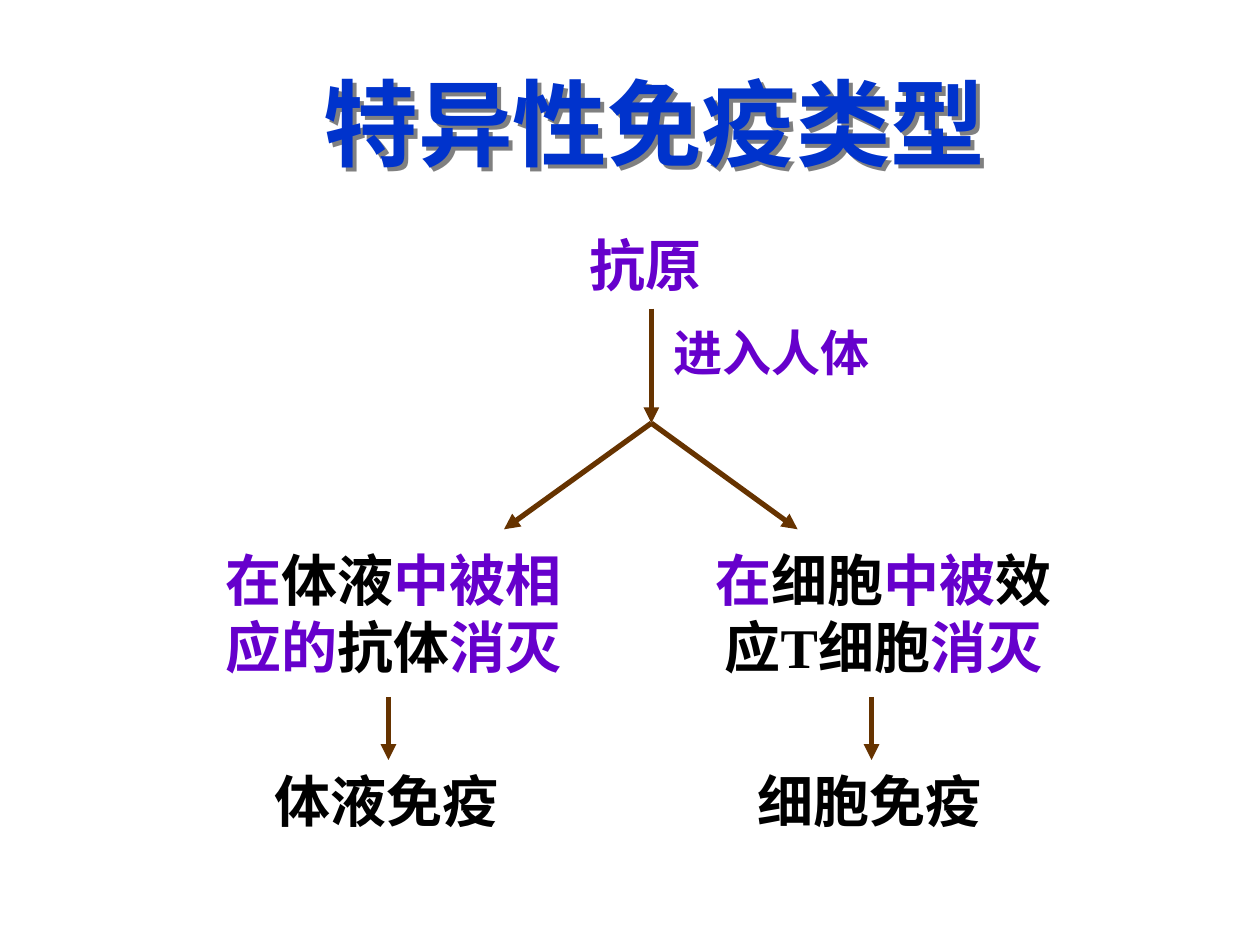
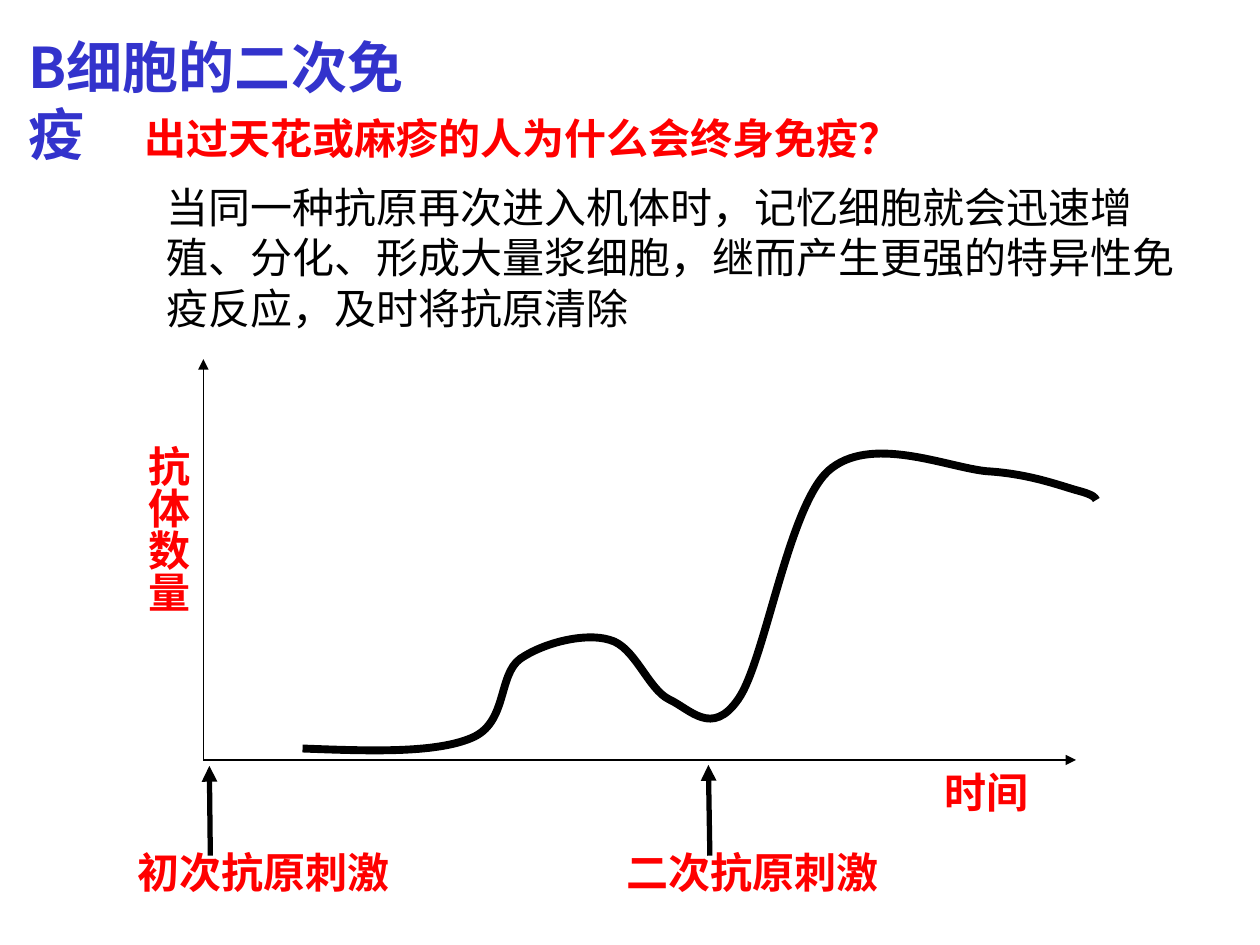
import pptx
import pptx.dml.color
import pptx.enum.shapes
import pptx.enum.text
import pptx.oxml.ns
import pptx.util
from lxml import etree

Cm, Pt = pptx.util.Cm, pptx.util.Pt
ALIGN = pptx.enum.text.PP_ALIGN
ANCHOR = pptx.enum.text.MSO_ANCHOR
qn = pptx.oxml.ns.qn

# Shared look
SANS, SERIF, BODY = "Noto Sans CJK SC", "Times New Roman", "Arial"
PURPLE, BROWN, BLACK, RED = "6600CC", "663300", "000000", "FF0000"
TITLE_BLUE, HEADING_BLUE = "0033CC", "3333CC"
COLUMN_STEP = 9.74


def rgb(value):
    return pptx.dml.color.RGBColor.from_string(value)


def format_run(r, size, color, font, bold):
    r.font.size, r.font.bold, r.font.name = Pt(size), bold, font
    r.font.color.rgb = rgb(color)
    ea = etree.SubElement(r.font._element, qn("a:ea"))
    ea.set("typeface", SANS)


def fill_text(sp, parts, size, font=SANS, bold=True, align=ALIGN.LEFT,
              anchor=ANCHOR.TOP):
    """Write (text, colour) parts as the single paragraph of a shape."""
    tf = sp.text_frame
    tf.word_wrap = True
    tf.auto_size = pptx.enum.text.MSO_AUTO_SIZE.NONE
    tf.vertical_anchor = anchor
    tf.margin_left = tf.margin_right = Cm(0.25)
    tf.margin_top = tf.margin_bottom = Cm(0.13)
    p = tf.paragraphs[0]
    p.alignment = align
    p.space_before = Pt(0)
    p.line_spacing = Pt(round(size * 1.2, 1))
    p._p.get_or_add_pPr().set("hangingPunct", "0")
    for text, color in parts:
        r = p.add_run()
        r.text = text
        format_run(r, size, color, font, bold)


def place(sp, box):
    sp.left, sp.top, sp.width, sp.height = (Cm(v) for v in box)


def add_title(slide, box, text, size, color, **style):
    sp = slide.shapes.title
    place(sp, box)
    fill_text(sp, [(text, color)], size, **style)
    return sp


def add_text(slide, box, parts, size, **style):
    sp = slide.shapes.add_textbox(*(Cm(v) for v in box))
    fill_text(sp, parts, size, **style)
    return sp


def add_arrow(slide, start, end, color, width):
    line = slide.shapes.add_connector(
        pptx.enum.shapes.MSO_CONNECTOR.STRAIGHT,
        *(Cm(v) for v in (*start, *end)))
    line.line.color.rgb = rgb(color)
    line.line.width = Pt(width)
    tail = etree.SubElement(line.line._get_or_add_ln(), qn("a:tailEnd"))
    tail.set("type", "triangle")
    etree.SubElement(line._element.spPr, qn("a:effectLst"))
    return line


def add_curve(slide, points, color, width):
    """Draw a Bezier curve: a start, then three points for each segment."""
    points = [(Cm(x), Cm(y)) for x, y in points]
    builder = slide.shapes.build_freeform(*points[0])
    builder.add_line_segments(points[1:], close=False)
    sp = builder.convert_to_shape()
    sp.shadow.inherit = False
    sp.fill.background()
    sp.line.color.rgb = rgb(color)
    sp.line.width = Pt(width)
    # Join each three straight segments into one cubic segment
    segments = list(sp._element.iter(qn("a:lnTo")))
    for i in range(0, len(segments), 3):
        cubic = etree.Element(qn("a:cubicBezTo"))
        segments[i].addprevious(cubic)
        for segment in segments[i:i + 3]:
            cubic.append(segment[0])
            segment.getparent().remove(segment)


def add_text_shadow(sp):
    """An unfilled shape casts the shadow of its text."""
    sp.fill.background()
    effects = etree.SubElement(sp._element.spPr, qn("a:effectLst"))
    shadow = etree.SubElement(effects, qn("a:outerShdw"),
                              dist="45000", dir="2700000", algn="ctr")
    etree.SubElement(shadow, qn("a:srgbClr"), val="808080")


def build_types_slide(slide):
    title = add_title(slide, (3.89, 1.19, 18.6, 2.54), "特异性免疫类型", 54,
                      TITLE_BLUE, align=ALIGN.CENTER, anchor=ANCHOR.BOTTOM)
    add_text_shadow(title)

    # Antigen enters the body and the path forks
    fork = (13.13, 8.53)
    antigen = add_text(slide, (11.63, 4.52, 3, 1.7), [("抗原", PURPLE)],
                       32, font=SERIF)
    entry = add_arrow(slide, (13.13, 6.22), fork, BROWN, 3)
    entry.begin_connect(antigen, 2)
    add_text(slide, (13.33, 6.38, 4.65, 1.45), [("进入人体", PURPLE)], 28,
             font=SERIF)
    for x in (10.16, 16.08):
        add_arrow(slide, fork, (x, 10.67), BROWN, 3)

    # One column for each type of immunity
    columns = [
        ([("在", PURPLE), ("体液", BLACK), ("中被相应的", PURPLE),
          ("抗体", BLACK), ("消灭", PURPLE)], 7.82, "体液免疫"),
        ([("在", PURPLE), ("细胞", BLACK), ("中被", PURPLE),
          ("效应T细胞", BLACK), ("消灭", PURPLE)], 8.08, "细胞免疫"),
    ]
    for i, (process, width, result) in enumerate(columns):
        dx = i * COLUMN_STEP
        add_text(slide, (4.03 + dx, 10.87, width, 2.97), process, 32,
                 font=SERIF, align=ALIGN.CENTER)
        add_arrow(slide, (7.83 + dx, 14.05), (7.83 + dx, 15.32), BROWN, 3)
        add_text(slide, (5.28 + dx, 15.32, 5.72, 1.63), [(result, BLACK)],
                 32, font=SERIF)


def build_response_slide(slide):
    add_title(slide, (0.33, 0.53, 9, 2.95), "B细胞的二次免疫", 32,
              HEADING_BLUE)
    add_text(slide, (2.67, 2.13, 20.8, 1.27),
             [("出过天花或麻疹的人为什么会终身免疫？", RED)], 24)
    add_text(slide, (3.1, 3.53, 21.26, 3.3),
             [("当同一种抗原再次进入机体时，记忆细胞就会迅速增殖、分化、"
               "形成大量浆细胞，继而产生更强的特异性免疫反应，"
               "及时将抗原清除", BLACK)], 24, font=BODY, bold=False)

    # Axes and antibody curve
    origin = (4.1, 15.32)
    for end in ((21.69, 15.32), (4.1, 7.24)):
        add_arrow(slide, origin, end, BLACK, 0.75)
    add_curve(slide, [
        (6.1, 15.09),
        (7.44, 15.14), (8.76, 15.19), (9.5, 14.88),
        (10.24, 14.58), (10.03, 13.61), (10.49, 13.28),
        (10.97, 12.95), (11.81, 12.75), (12.29, 12.9),
        (12.8, 13.03), (13.06, 13.89), (13.49, 14.1),
        (13.92, 14.3), (14.35, 14.86), (14.88, 14.1),
        (15.42, 13.34), (15.88, 10.26), (16.69, 9.5),
        (17.53, 8.74), (19.08, 9.42), (19.89, 9.5),
        (20.73, 9.55), (21.34, 9.78), (21.69, 9.88),
        (22.07, 9.98), (22.07, 10.03), (22.1, 10.08),
    ], BLACK, 4.5)

    # Axis labels
    amount = add_text(slide, (2.51, 8.73, 1.52, 5.31), [("抗体数量", RED)],
                      24, align=ALIGN.CENTER)
    tf = amount.text_frame
    tf.margin_left = tf.margin_right = Cm(0.13)
    tf.margin_top = tf.margin_bottom = Cm(0.25)
    tf._txBody.bodyPr.set("vert", "eaVert")
    add_text(slide, (18.8, 15.32, 2.4, 1.27), [("时间", RED)], 24)

    # The two antigen stimulations
    for label, left, start, end in (
            ("初次抗原刺激", 2.53, (4.24, 17.25), (4.22, 15.44)),
            ("二次抗原刺激", 12.39, (14.31, 17.25), (14.28, 15.42))):
        add_text(slide, (left, 16.94, 5.9, 1.27), [(label, RED)], 24)
        add_arrow(slide, start, end, BLACK, 3)


def main():
    prs = pptx.Presentation()
    prs.slide_width, prs.slide_height = Cm(25.4), Cm(19.05)
    title_only = prs.slide_layouts[5]
    for build in (build_types_slide, build_response_slide):
        build(prs.slides.add_slide(title_only))
    prs.save("out.pptx")


if __name__ == "__main__":
    main()
